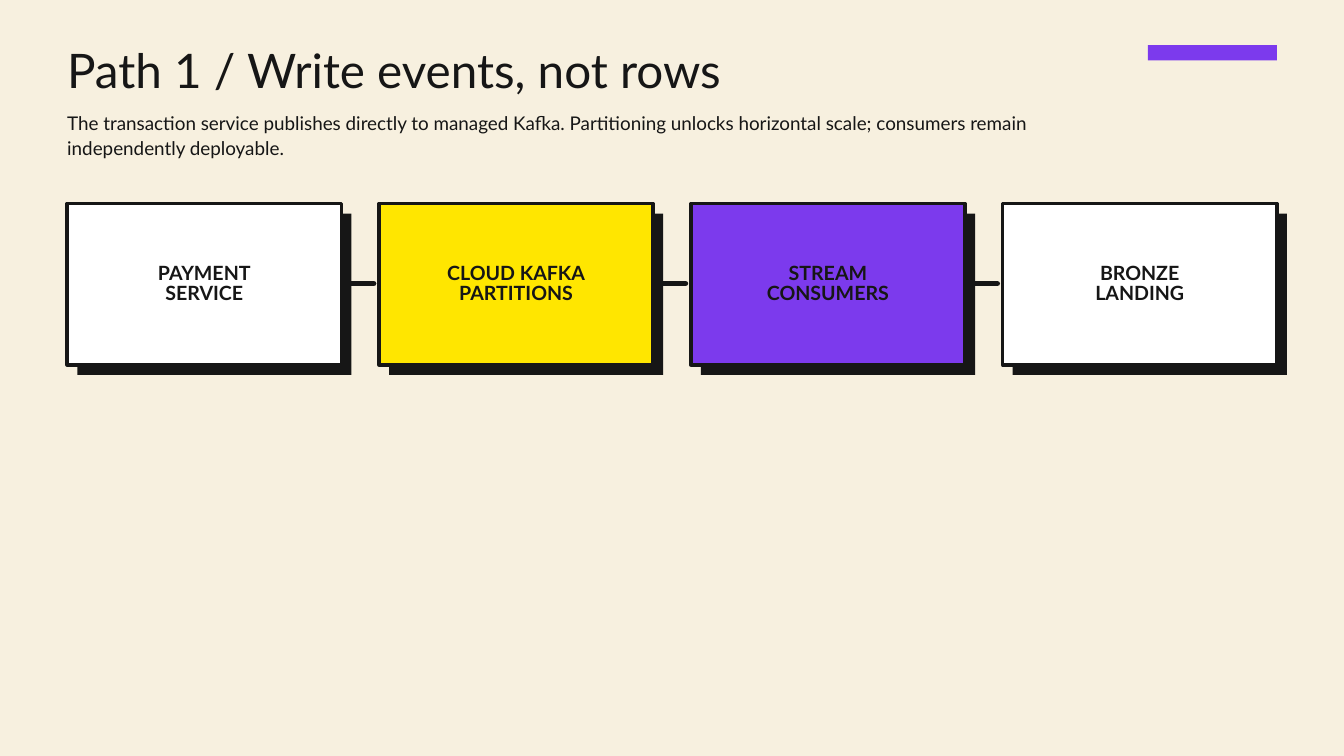
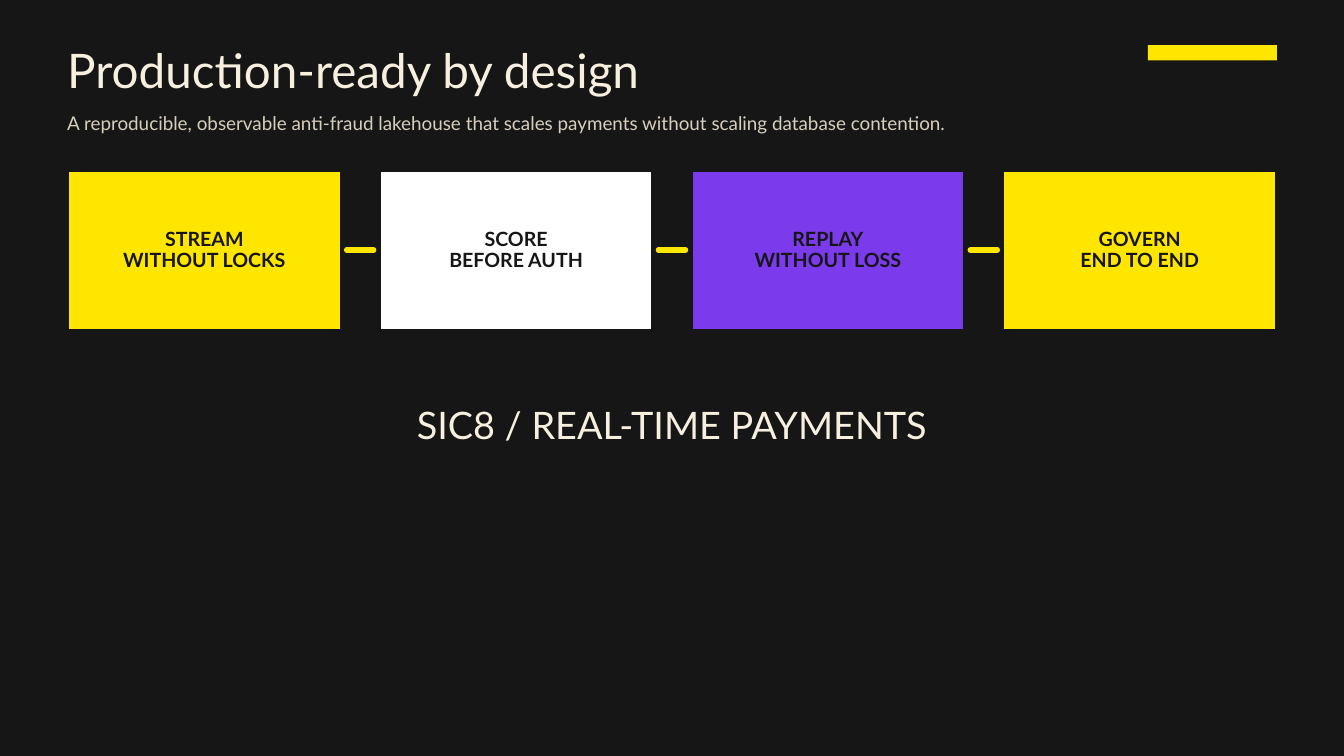
from lxml.etree import SubElement
from pptx import Presentation
from pptx.dml.color import RGBColor
from pptx.enum.shapes import MSO_CONNECTOR as Connector, MSO_SHAPE as Shape
from pptx.enum.text import MSO_ANCHOR as Anchor, MSO_AUTO_SIZE as AutoSize, PP_ALIGN as Align
from pptx.oxml.ns import qn
from pptx.util import Inches, Pt

COLORS = {
    "ink": "161616",
    "cream": "F7F0DF",
    "sand": "D7CFBD",
    "white": "FFFFFF",
    "yellow": "FFE600",
    "violet": "7C3AED",
}
STYLES = {
    "title": {"size": 51, "leading": 52, "align": Align.LEFT, "bold": False},
    "subtitle": {"size": 20.2, "leading": 26.3, "align": Align.LEFT, "bold": False},
    "card": {"size": 21, "leading": 22.1, "align": Align.CENTER, "bold": True},
    "closing": {"size": 40.5, "leading": 56.7, "align": Align.CENTER, "bold": False},
}
MARGIN, CONTENT_WIDTH, HEADING_WIDTH = 1, 18, 15.62
CARD_WIDTH, CARD_HEIGHT, SHADOW_OFFSET = 4.08, 2.4, 0.15
LINK_INSET, LINK_LENGTH = 0.08, 0.4

PAGES = [
    {
        "title": "Path 1 / Write events, not rows",
        "subtitle": "The transaction service publishes directly to managed Kafka. "
                    "Partitioning unlocks horizontal scale; consumers remain "
                    "independently deployable.",
        "subtitle_height": 0.76,
        "background": "cream", "text": "ink", "muted": "ink",
        "accent": "violet", "link": "ink",
        "card_top": 3.03,
        "cards": [
            (["PAYMENT", "SERVICE"], "white"),
            (["CLOUD KAFKA", "PARTITIONS"], "yellow"),
            (["STREAM", "CONSUMERS"], "violet"),
            (["BRONZE", "LANDING"], "white"),
        ],
    },
    {
        "title": "Production-ready by design",
        "subtitle": "A reproducible, observable anti-fraud lakehouse that scales "
                    "payments without scaling database contention.",
        "subtitle_height": 0.4,
        "background": "ink", "text": "cream", "muted": "sand",
        "accent": "yellow", "link": "yellow",
        "card_top": 2.53,
        "cards": [
            (["STREAM", "WITHOUT LOCKS"], "yellow"),
            (["SCORE", "BEFORE AUTH"], "white"),
            (["REPLAY", "WITHOUT LOSS"], "violet"),
            (["GOVERN", "END TO END"], "yellow"),
        ],
        "closing": "SIC8 / REAL-TIME PAYMENTS",
    },
]


def rgb(name):
    """Return the palette colour of that name."""
    return RGBColor.from_string(COLORS[name])


class Deck:
    """Holds the presentation, its style and the current page."""

    def __init__(self):
        """Open a blank widescreen presentation."""
        self.deck = Presentation()
        self.deck.slide_width, self.deck.slide_height = Inches(20), Inches(11.25)
        self.page = None
        self.background = None

    def new_page(self, background):
        """Start a page with a title, a body and a plain background."""
        self.page = self.deck.slides.add_slide(self.deck.slide_layouts[1])
        self.background = background
        self.page.background.fill.solid()
        self.page.background.fill.fore_color.rgb = rgb(background)

    def set_text(self, box, lines, style, color, anchor=Anchor.TOP, inset=0):
        """Fill a box with one styled paragraph per line."""
        frame, look = box.text_frame, STYLES[style]
        margin = Inches(inset)
        settings = {"word_wrap": True, "auto_size": AutoSize.NONE, "vertical_anchor": anchor,
                    "margin_left": margin, "margin_right": margin,
                    "margin_top": margin, "margin_bottom": margin}
        for name, value in settings.items():
            setattr(frame, name, value)
        frame.text = "\n".join(lines)
        for para in frame.paragraphs:
            spacing = {"alignment": look["align"], "line_spacing": Pt(look["leading"]),
                       "space_before": Pt(0), "space_after": Pt(0)}
            for name, value in spacing.items():
                setattr(para, name, value)
            for span in para.runs:
                font = {"name": "Lato", "size": Pt(look["size"]), "bold": look["bold"]}
                for name, value in font.items():
                    setattr(span.font, name, value)
                span.font.color.rgb = rgb(color)

    def place(self, box, left, top, width, height):
        """Move and size a box in inches."""
        bounds = {"left": left, "top": top, "width": width, "height": height}
        for name, value in bounds.items():
            setattr(box, name, Inches(value))

    def heading(self, title, subtitle, subtitle_height, color, muted):
        """Set the title and the unbulleted line below it."""
        title_box, body = self.page.shapes.title, self.page.placeholders[1]
        self.place(title_box, MARGIN, 0.74, HEADING_WIDTH, 0.77)
        self.set_text(title_box, [title], "title", color)
        self.place(body, MARGIN, 1.64, HEADING_WIDTH, subtitle_height)
        self.set_text(body, [subtitle], "subtitle", muted)
        for para in body.text_frame.paragraphs:
            properties = para._p.get_or_add_pPr()
            properties.set("marL", "0")
            properties.set("indent", "0")
            SubElement(properties, qn("a:buNone"))

    def block(self, left, top, width, height, color, outline=None):
        """Draw a flat rectangle, outlined on request."""
        bounds = [Inches(value) for value in (left, top, width, height)]
        box = self.page.shapes.add_shape(Shape.RECTANGLE, *bounds)
        box.shadow.inherit = False
        box.fill.solid()
        box.fill.fore_color.rgb = rgb(color)
        if outline:
            box.line.color.rgb = rgb(outline)
            box.line.width = Pt(3.75)
        else:
            box.line.fill.background()
        return box

    def card(self, left, top, lines, color):
        """Draw an outlined card, with a hard shadow where it would show."""
        if self.background != "ink":
            self.block(left + SHADOW_OFFSET, top + SHADOW_OFFSET, CARD_WIDTH, CARD_HEIGHT, "ink")
        box = self.block(left, top, CARD_WIDTH, CARD_HEIGHT, color, "ink")
        self.set_text(box, lines, "card", "ink", Anchor.MIDDLE, 0.06)

    def link(self, left, height, color):
        """Draw a short round-ended line between two cards."""
        ends = [Inches(value) for value in (left, height, left + LINK_LENGTH, height)]
        line = self.page.shapes.add_connector(Connector.STRAIGHT, *ends)
        line.line.color.rgb = rgb(color)
        line.line.width = Pt(6)
        properties = line._element.spPr
        properties.find(qn("a:ln")).set("cap", "rnd")
        SubElement(properties, qn("a:effectLst"))

    def flow(self, cards, top, link_color):
        """Spread cards evenly over the content width and link them."""
        step = (CONTENT_WIDTH - CARD_WIDTH) / (len(cards) - 1)
        for index, (lines, color) in enumerate(cards):
            left = MARGIN + index * step
            self.card(left, top, lines, color)
            if index < len(cards) - 1:
                self.link(left + CARD_WIDTH + LINK_INSET, top + 1.19, link_color)

    def closing(self, text, color):
        """Add the centred closing line."""
        bounds = [Inches(value) for value in (MARGIN, 5.87, CONTENT_WIDTH, 0.76)]
        self.set_text(self.page.shapes.add_textbox(*bounds), [text], "closing", color)


def main():
    """Build every page and save the deck."""
    deck = Deck()
    for content in PAGES:
        deck.new_page(content["background"])
        deck.heading(content["title"], content["subtitle"], content["subtitle_height"],
                     content["text"], content["muted"])
        deck.block(17.08, 0.67, 1.92, 0.23, content["accent"])
        deck.flow(content["cards"], content["card_top"], content["link"])
        if "closing" in content:
            deck.closing(content["closing"], content["text"])
    deck.deck.save("out.pptx")


if __name__ == "__main__":
    main()
